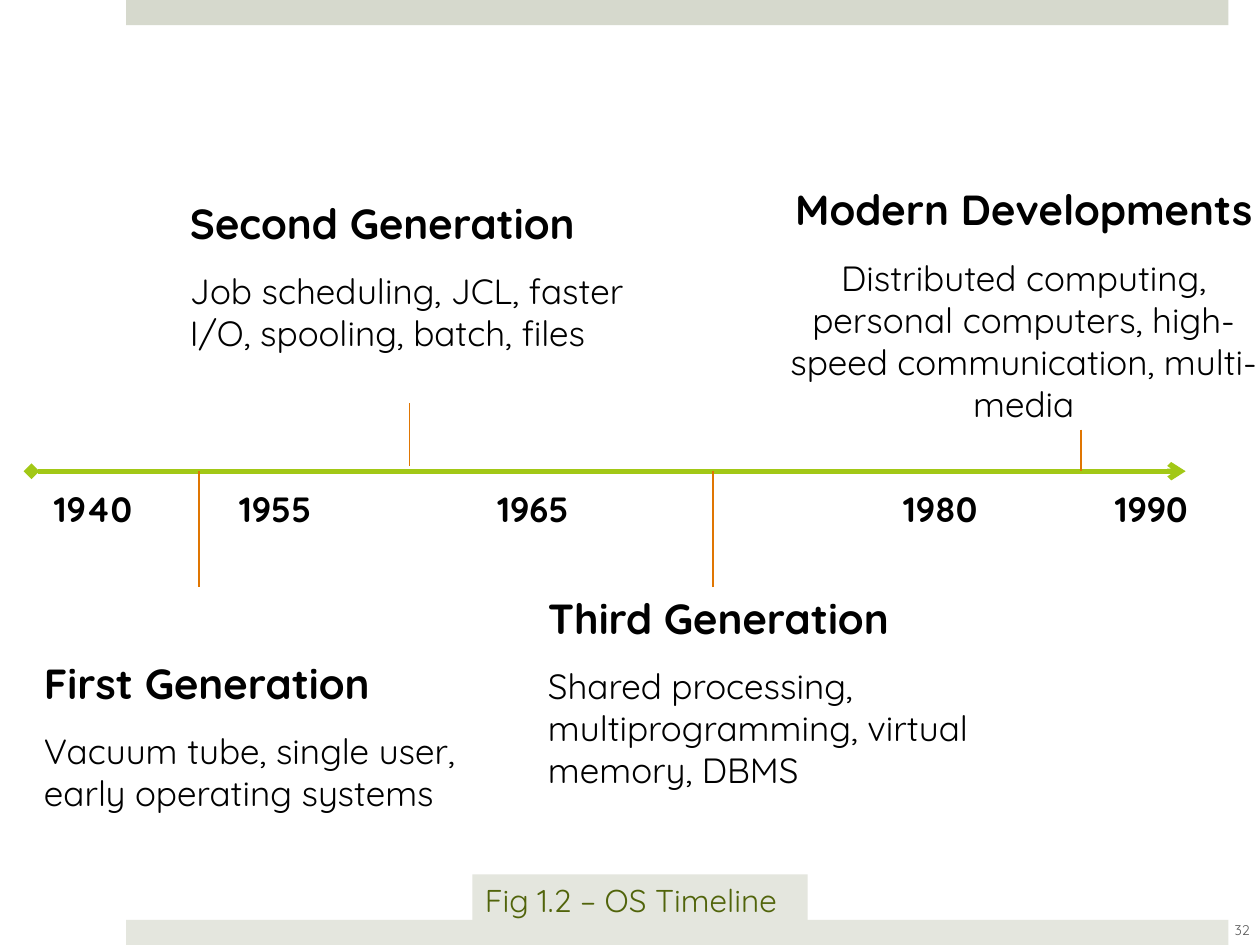
from pptx import Presentation
from pptx.dml.color import RGBColor
from pptx.enum import shapes, text
from pptx.oxml.ns import qn
from pptx.util import Inches, Pt
from lxml import etree

FONT = "Quicksand"
BLACK = RGBColor(0x00, 0x00, 0x00)
GREY = RGBColor(0x59, 0x59, 0x59)
OLIVE = RGBColor(0x51, 0x64, 0x0B)
GREEN = RGBColor(0xA2, 0xC8, 0x16)
ORANGE = RGBColor(0xE0, 0x76, 0x02)
TOP_BAR = RGBColor(0xD6, 0xD9, 0xCD)
PALE = RGBColor(0xE4, 0xE6, 0xDE)

AXIS_Y = 3.74
YEARS = ["1940", "1955", "1965", "1980", "1990"]
YEAR_TABS = [1.47, 3.52, 6.74, 8.42]
TICKS = [(1.58, AXIS_Y, 4.66), (3.25, 3.7, 3.2), (5.66, 4.66, AXIS_Y), (8.58, 3.41, AXIS_Y)]
LEFT, CENTER = text.PP_ALIGN.LEFT, text.PP_ALIGN.CENTER
ERAS = [
    ((0.25, 5.17, 3.58, 1.68), LEFT, "First Generation",
     "Vacuum tube, single user, early operating systems"),
    ((1.41, 1.52, 3.67, 1.34), LEFT, "Second Generation",
     "Job scheduling, JCL, faster I/O, spooling, batch, files"),
    ((4.25, 4.65, 4.11, 1.68), LEFT, "Third Generation",
     "Shared processing, multiprogramming, virtual memory, DBMS"),
    ((6.17, 1.41, 3.91, 2.41), CENTER, "Modern Developments",
     "Distributed computing, personal computers, high-speed communication, multi-media"),
]


def add_bar(s, box, color):
    sp = s.shapes.add_shape(shapes.MSO_SHAPE.RECTANGLE, *map(Inches, box))
    sp.shadow.inherit = False
    sp.fill.solid()
    sp.fill.fore_color.rgb = color
    sp.line.fill.background()
    return sp


def add_line(s, start, end, color, width):
    line = s.shapes.add_connector(shapes.MSO_CONNECTOR.STRAIGHT, *map(Inches, start + end))
    line.line.color.rgb = color
    line.line.width = Pt(width)
    etree.SubElement(line._element.spPr, qn("a:effectLst"))
    return line


def add_axis(s):
    axis = add_line(s, (0.25, AXIS_Y), (9.41, AXIS_Y), GREEN, 3)
    ln = axis.line._get_or_add_ln()
    for tag, kind in (("a:headEnd", "diamond"), ("a:tailEnd", "arrow")):
        etree.SubElement(ln, qn(tag), type=kind)


def add_text_box(s, box):
    tf = s.shapes.add_textbox(*map(Inches, box)).text_frame
    tf.word_wrap = True
    return tf


def write(p, content, size, color=BLACK, bold=False, align=LEFT):
    p.alignment = align
    r = p.add_run()
    r.text = content
    r.font.name = FONT
    r.font.size = Pt(size)
    r.font.bold = bold
    r.font.color.rgb = color


def add_years(s):
    p = add_text_box(s, (0.33, 3.82, 9.44, 0.44)).paragraphs[0]
    tabs = etree.SubElement(p._p.get_or_add_pPr(), qn("a:tabLst"))
    for pos in YEAR_TABS:
        etree.SubElement(tabs, qn("a:tab"), pos=str(Inches(pos)), algn="l")
    write(p, "\t".join(YEARS), 20, bold=True)


def add_era(s, box, align, heading, body):
    tf = add_text_box(s, box)
    write(tf.paragraphs[0], heading, 24, bold=True, align=align)
    p = tf.add_paragraph()
    p.space_before = Pt(12.5)
    write(p, body, 20, align=align)


def add_caption(s):
    tf = add_bar(s, (3.75, 6.94, 2.66, 0.4), PALE).text_frame
    tf.word_wrap = True
    tf.vertical_anchor = text.MSO_ANCHOR.TOP
    write(tf.paragraphs[0], "Fig 1.2 – OS Timeline", 18, OLIVE)


def add_page_number(s):
    tf = add_text_box(s, (9.61, 7.18, 0.5, 0.4))
    tf.vertical_anchor = text.MSO_ANCHOR.MIDDLE
    write(tf.paragraphs[0], "32", 8, GREY, align=CENTER)


def main():
    prs = Presentation()
    prs.slide_width, prs.slide_height = Inches(10), Inches(7.5)
    s = prs.slides.add_slide(prs.slide_layouts[6])
    add_bar(s, (1, 0, 8.75, 0.2), TOP_BAR)
    add_bar(s, (1, 7.3, 8.75, 0.2), PALE)
    add_axis(s)
    add_years(s)
    for era in ERAS:
        add_era(s, *era)
    for x, y1, y2 in TICKS:
        add_line(s, (x, y1), (x, y2), ORANGE, 0.75)
    add_caption(s)
    add_page_number(s)
    prs.save("out.pptx")


if __name__ == "__main__":
    main()
